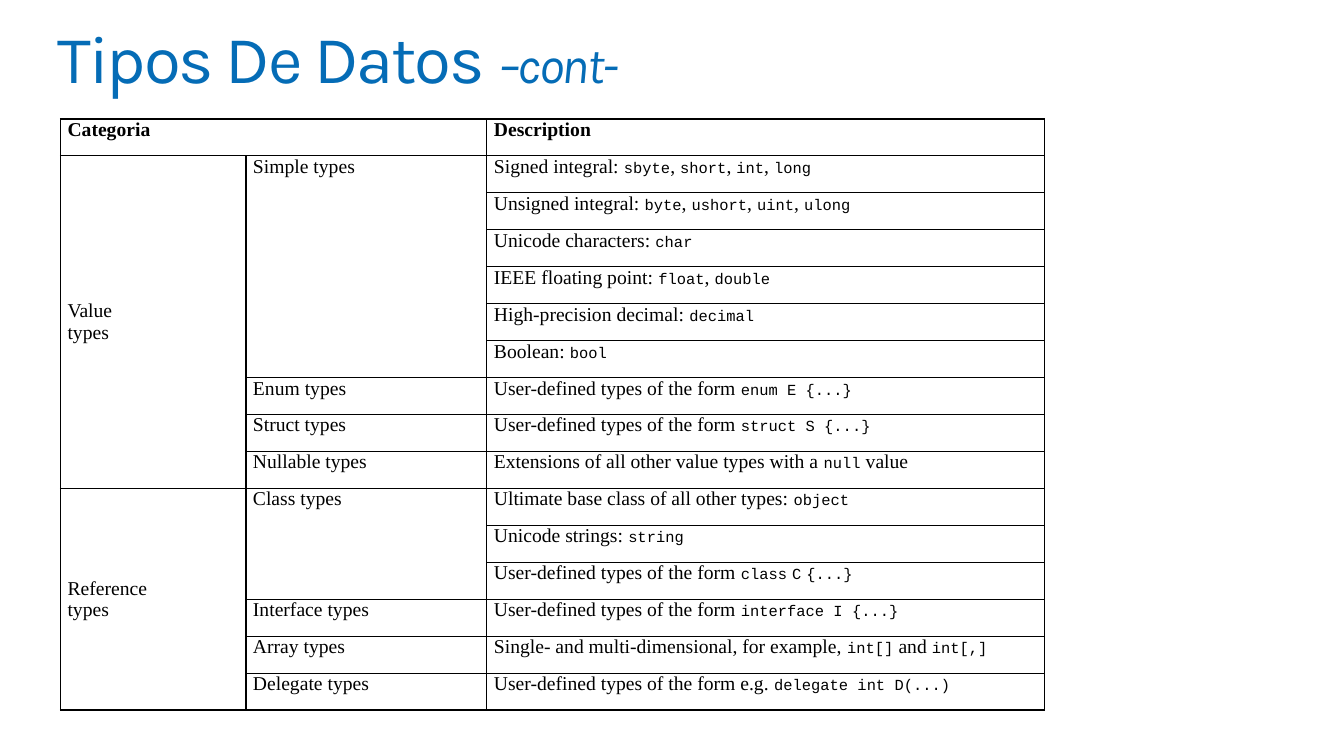
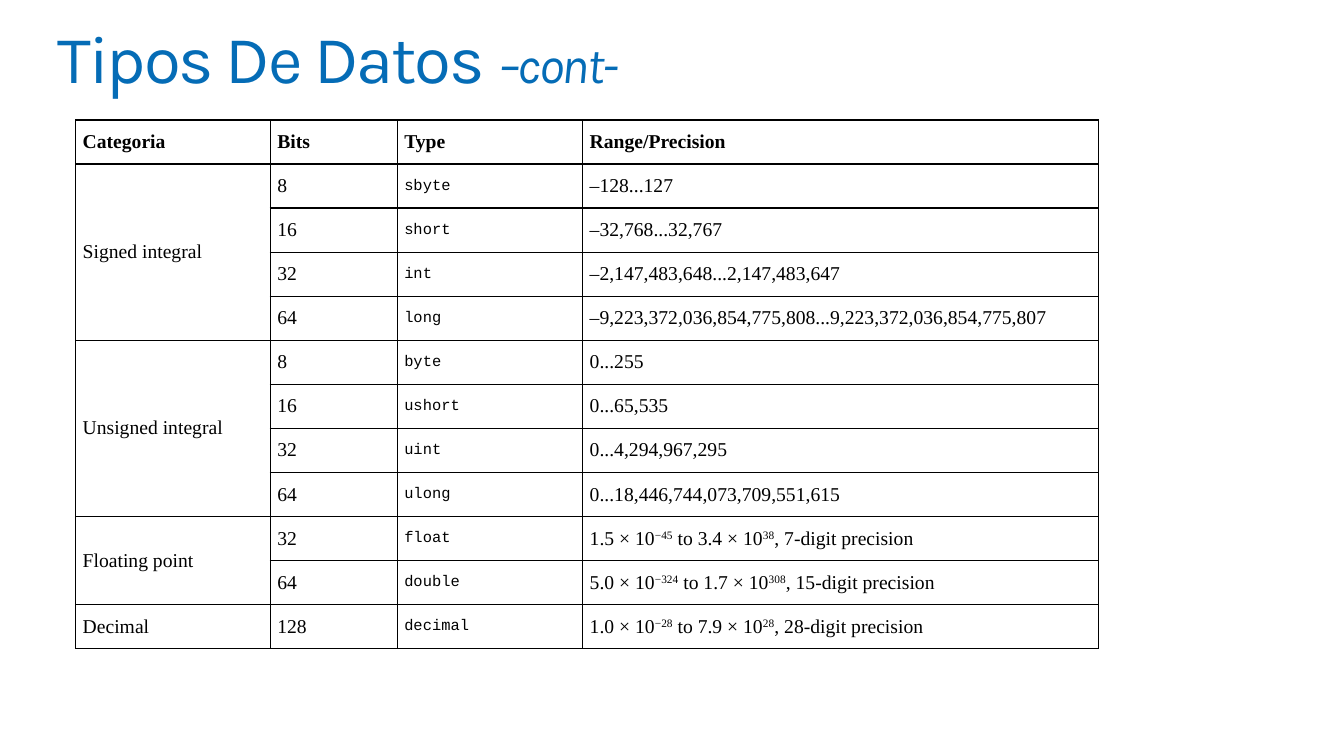
from itertools import takewhile

from lxml import etree
from pptx import Presentation
from pptx.dml.color import RGBColor
from pptx.enum.text import MSO_ANCHOR, MSO_AUTO_SIZE, PP_ALIGN
from pptx.oxml.ns import qn
from pptx.util import Inches, Pt

TOP, MIDDLE = MSO_ANCHOR.TOP, MSO_ANCHOR.MIDDLE
LEFT = PP_ALIGN.LEFT
GROW = MSO_AUTO_SIZE.SHAPE_TO_FIT_TEXT

BLUE, BLACK = "056CB6", "000000"
TITLE_FONT, TEXT_FONT, CODE_FONT = "Karla", "Times New Roman", "Courier New"
CELL_INSET = Inches(0.07)

deck = Presentation()
deck.slide_width, deck.slide_height = Inches(13.33), Inches(7.5)
COLUMN, ROW = deck.slide_width / 100, deck.slide_height / 100


def write(paragraph, text, size=14, font=TEXT_FONT, color=BLACK,
          bold=False, italic=False, spacing=0, raised=0):
    for number, line in enumerate(text.split("\n")):
        if number:
            paragraph.add_line_break()
        run = paragraph.add_run()
        run.text = line
        run.font.size, run.font.name = Pt(size), font
        run.font.bold, run.font.italic = bold, italic
        run.font.color.rgb = RGBColor.from_string(color)
        properties = run.font._element
        if spacing:
            properties.set("spc", str(int(spacing * 100)))
        if raised:
            properties.set("baseline", str(raised * 1000))


def outline(cell, color=BLACK, width=1):
    properties = cell._tc.get_or_add_tcPr()
    for side in ("a:lnL", "a:lnR", "a:lnT", "a:lnB"):
        edge = etree.SubElement(properties, qn(side), w=str(Pt(width)))
        fill = etree.SubElement(edge, qn("a:solidFill"))
        etree.SubElement(fill, qn("a:srgbClr"), val=color)


categories = [
    ("Categoria", None, "Description"),
    ("Value\ntypes", "Simple types", "Signed integral: `sbyte`, `short`, `int`, `long`"),
    (None, None, "Unsigned integral: `byte`, `ushort`, `uint`, `ulong`"),
    (None, None, "Unicode characters: `char`"),
    (None, None, "IEEE floating point: `float`, `double`"),
    (None, None, "High-precision decimal: `decimal`"),
    (None, None, "Boolean: `bool`"),
    (None, "Enum types", "User-defined types of the form `enum E {...}`"),
    (None, "Struct types", "User-defined types of the form `struct S {...}`"),
    (None, "Nullable types", "Extensions of all other value types with a `null` value"),
    ("Reference\ntypes", "Class types", "Ultimate base class of all other types: `object`"),
    (None, None, "Unicode strings: `string`"),
    (None, None, "User-defined types of the form `class` `C` `{...}`"),
    (None, "Interface types", "User-defined types of the form `interface I {...}`"),
    (None, "Array types", "Single- and multi-dimensional, for example, `int[]` and `int[,]`"),
    (None, "Delegate types", "User-defined types of the form e.g. `delegate int D(...)`"),
]

ranges = [
    ("Categoria", "Bits", "Type", "Range/Precision"),
    ("Signed integral", "8", "`sbyte`", "–128...127"),
    (None, "16", "`short`", "–32,768...32,767"),
    (None, "32", "`int`", "–2,147,483,648...2,147,483,647"),
    (None, "64", "`long`", "–9,223,372,036,854,775,808...9,223,372,036,854,775,807"),
    ("Unsigned integral", "8", "`byte`", "0...255"),
    (None, "16", "`ushort`", "0...65,535"),
    (None, "32", "`uint`", "0...4,294,967,295"),
    (None, "64", "`ulong`", "0...18,446,744,073,709,551,615"),
    ("Floating point", "32", "`float`", "1.5 × 10^−45^ to 3.4 × 10^38^, 7-digit precision"),
    (None, "64", "`double`", "5.0 × 10^−324^ to 1.7 × 10^308^, 15-digit precision"),
    ("Decimal", "128", "`decimal`", "1.0 × 10^−28^ to 7.9 × 10^28^, 28-digit precision"),
]

pages = [
    dict(rows=categories, left=4.5, top=15.73, row_height=4.89,
         widths=(13.8, 17.93, 41.48), centred=False),
    dict(rows=ranges, left=5.63, top=15.87, row_height=5.83,
         widths=(14.48, 9.45, 13.8, 38.4), centred=True),
]

layout = deck.slide_layouts[5]
heading = layout.placeholders[0]
heading.left, heading.top = int(4.28 * COLUMN), int(3.33 * ROW)
heading.width, heading.height = int(91.67 * COLUMN), int(9.73 * ROW)
frame = heading.text_frame
frame.margin_left = frame.margin_right = frame.margin_top = frame.margin_bottom = 0
frame.vertical_anchor, frame.auto_size, frame.word_wrap = TOP, GROW, True

for page in pages:
    slide = deck.slides.add_slide(layout)
    title = slide.shapes.title.text_frame.paragraphs[0]
    title.alignment, title.line_spacing = LEFT, 0.9
    write(title, "Tipos De Datos ", size=48, font=TITLE_FONT, color=BLUE, spacing=-1.5)
    write(title, "–cont-", size=36, font=TITLE_FONT, color=BLUE, spacing=-1.5, italic=True)

    rows, widths = page["rows"], page["widths"]
    table = slide.shapes.add_table(
        len(rows), len(widths), int(page["left"] * COLUMN), int(page["top"] * ROW),
        int(sum(widths) * COLUMN), int(len(rows) * page["row_height"] * ROW)).table
    table.first_row = table.horz_banding = False
    for column, width in zip(table.columns, widths):
        column.width = int(width * COLUMN)

    for r, row in enumerate(rows):
        table.rows[r].height = int(page["row_height"] * ROW)
        for c, text in enumerate(row):
            cell = table.cell(r, c)
            cell.margin_left = cell.margin_right = CELL_INSET
            cell.margin_top = cell.margin_bottom = 0
            outline(cell)
            cell.fill.background()
            if text is None:
                continue
            below = [later[c] for later in rows[r + 1:]]
            beside = row[c + 1:] if r == 0 else ()
            down = len(list(takewhile(lambda entry: entry is None, below)))
            across = len(list(takewhile(lambda entry: entry is None, beside)))
            if r == 0:
                down = 0
            if down or across:
                cell.merge(table.cell(r + down, c + across))
            cell.vertical_anchor = MIDDLE if page["centred"] or (r and c == 0) else TOP
            paragraph = cell.text_frame.paragraphs[0]
            paragraph.space_before = paragraph.space_after = Pt(3)
            for i, part in enumerate(text.split("`")):
                for j, piece in enumerate(part.split("^")):
                    if piece:
                        write(paragraph, piece, bold=r == 0,
                              size=11 if i % 2 else 14,
                              font=CODE_FONT if i % 2 else TEXT_FONT,
                              raised=30 if j % 2 else 0)

deck.save("out.pptx")
